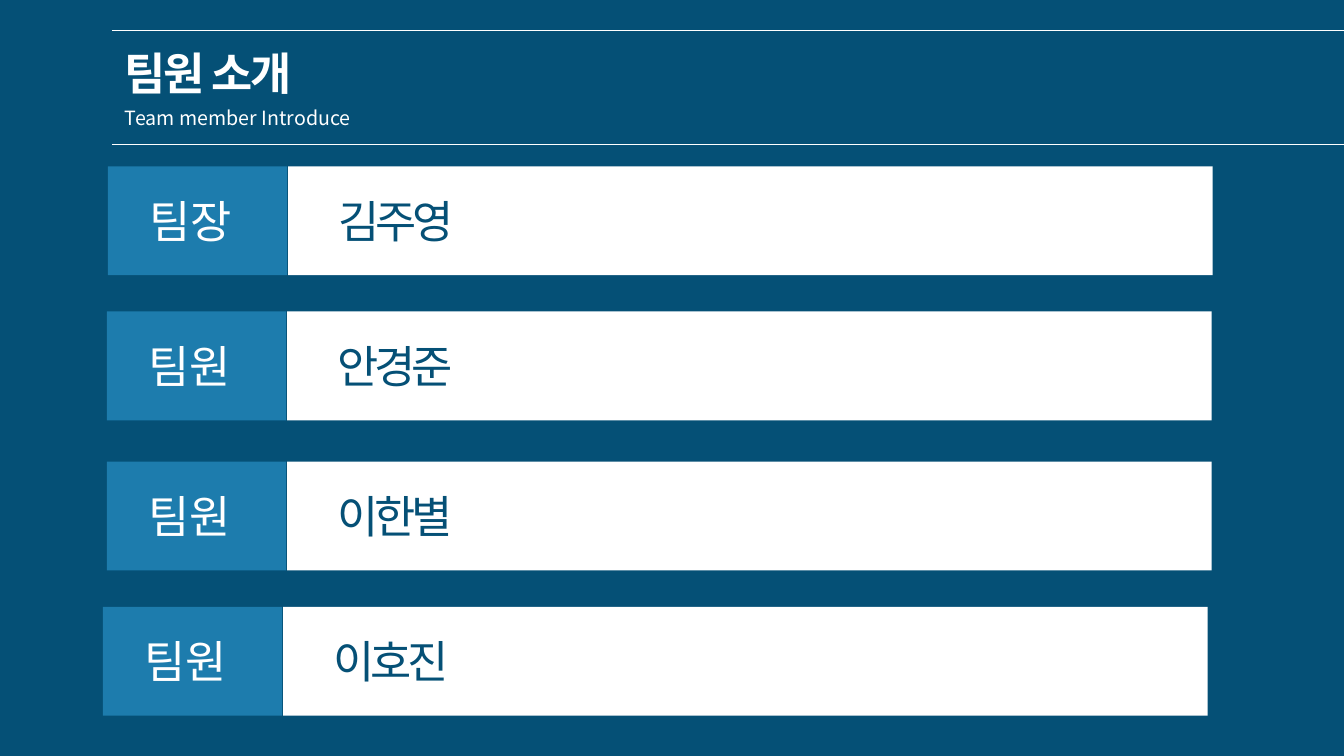
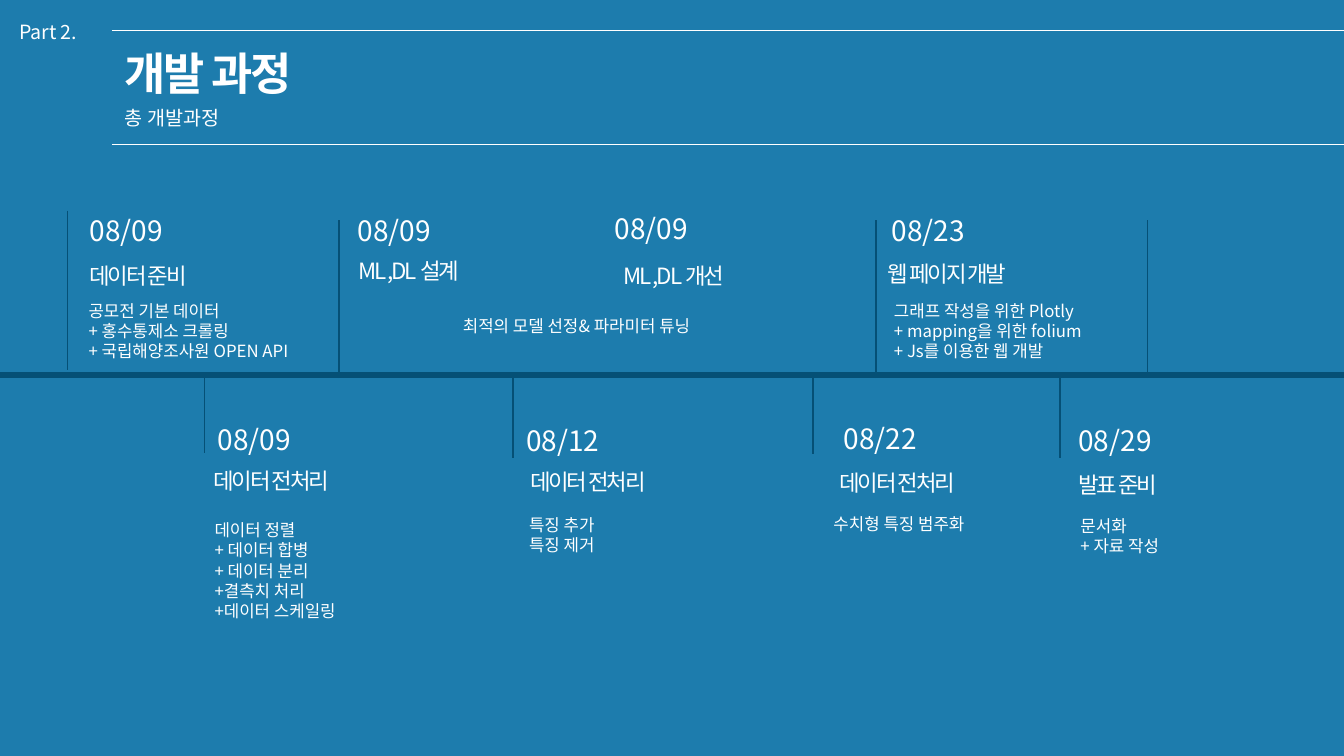
"""Build the team introduction and development timeline slides."""
from dataclasses import dataclass

from lxml.etree import SubElement
from pptx import Presentation
from pptx.dml.color import RGBColor
from pptx.enum.shapes import MSO_CONNECTOR, MSO_SHAPE
from pptx.enum.text import MSO_AUTO_SIZE, PP_ALIGN
from pptx.oxml.ns import qn
from pptx.slide import Slide
from pptx.util import Inches, Length, Pt


@dataclass(frozen=True)
class Theme:
    """Colours, font and type sizes shared by the slides."""

    navy: RGBColor = RGBColor(0x05, 0x50, 0x76)
    blue: RGBColor = RGBColor(0x1D, 0x7C, 0xAD)
    white: RGBColor = RGBColor(0xFF, 0xFF, 0xFF)
    font: str = "Noto Sans CJK KR"
    title: int = 32
    date: int = 20
    heading: int = 16
    label: int = 14
    body: int = 12


@dataclass(frozen=True)
class Box:
    """Left, top, width and height in grid cells."""

    left: float
    top: float
    width: float
    height: float


@dataclass(frozen=True)
class Style:
    """Character and paragraph format of a text."""

    size: int
    color: RGBColor
    bold: bool = False
    spacing: float = 0
    alignment: PP_ALIGN = PP_ALIGN.LEFT
    wrap: bool = False


@dataclass(frozen=True)
class Member:
    """Role and name on a card with its top left corner."""

    role: str
    name: str
    left: float
    top: float


@dataclass(frozen=True)
class Event:
    """Date and heading of a timeline entry."""

    date: str
    date_box: Box
    heading: str
    heading_box: Box


@dataclass(frozen=True)
class Note:
    """Body lines beside the timeline."""

    lines: tuple[str, ...]
    box: Box
    alignment: PP_ALIGN = PP_ALIGN.JUSTIFY


@dataclass(frozen=True)
class Marker:
    """Vertical timeline mark between two rows."""

    column: float
    start: float
    end: float
    weight: float


THEME = Theme()
CELL = Inches(0.1)
COLUMNS, ROWS = 133.33, 75

TITLE = Style(THEME.title, THEME.white, bold=True, spacing=-1.5)
LABEL = Style(THEME.label, THEME.white)
ROLE = Style(THEME.title, THEME.white, alignment=PP_ALIGN.CENTER)
NAME = Style(THEME.title, THEME.navy, spacing=-3)
DATE = Style(THEME.date, THEME.white)
HEADING = Style(THEME.heading, THEME.white, spacing=-1.5)

MEMBERS = (
    Member("팀장", "김주영", 10.7, 16.5),
    Member("팀원", "안경준", 10.6, 30.9),
    Member("팀원", "이한별", 10.6, 45.8),
    Member("팀원", "이호진", 10.2, 60.2),
)

EVENTS = (
    Event("08/09", Box(7.9, 20.7, 11.5, 4.4), "데이터 준비", Box(7.9, 25.5, 12.4, 3.7)),
    Event("08/09", Box(20.6, 41.4, 11.5, 4.4), "데이터 전처리", Box(20.2, 45.9, 14.3, 3.7)),
    Event("08/09", Box(34.5, 20.7, 11.6, 4.4), "ML ,DL 설계", Box(34.6, 25, 13.1, 3.7)),
    Event("08/12", Box(51.2, 41.5, 10.9, 4.3), "데이터 전처리", Box(51.6, 46, 14.2, 3.7)),
    Event("08/09", Box(60, 20.5, 11.6, 4.4), "ML ,DL 개선", Box(60.9, 25.5, 13.6, 3.7)),
    Event("08/22", Box(82.7, 41.3, 11.1, 4.2), "데이터 전처리", Box(82.3, 46.1, 14.2, 3.7)),
    Event("08/23", Box(87.5, 20.7, 14, 4.3), "웹 페이지 개발", Box(87.1, 25.3, 14.9, 3.7)),
    Event("08/29", Box(106, 41.5, 9.3, 4.4), "발표 준비", Box(106, 46.3, 10.5, 3.7)),
)

NOTES = (
    Note(("공모전 기본 데이터", "+ 홍수통제소 크롤링", "+ 국립해양조사원 OPEN API"), Box(7.8, 29.3, 25.2, 7)),
    Note(
        ("데이터 정렬", "+ 데이터 합병", "+ 데이터 분리", "+결측치 처리", "+데이터 스케일링"),
        Box(20.3, 51.1, 28.4, 11),
    ),
    Note(("최적의 모델 선정& 파라미터 튜닝",), Box(36.4, 30.8, 41.6, 2.9), PP_ALIGN.CENTER),
    Note(("특징 추가", "특징 제거"), Box(51.5, 50.6, 28.4, 4.9)),
    Note(("수치형 특징 범주화",), Box(81.7, 50.5, 22.4, 2.9)),
    Note(
        ("그래프 작성을 위한 Plotly", "+ mapping을 위한 folium", "+ Js를 이용한 웹 개발"),
        Box(87.7, 29.3, 24.9, 7),
    ),
    Note(("문서화", "+ 자료 작성"), Box(106.2, 50.7, 17.6, 4.9)),
)

MARKERS = (
    Marker(6.7, 20.9, 36.7, 0.5),
    Marker(20.3, 44.9, 37.1, 0.25),
    Marker(33.6, 37.5, 21.8, 1.5),
    Marker(50.9, 45.4, 37.1, 1.5),
    Marker(80.7, 45, 37.1, 1.5),
    Marker(86.9, 37.5, 21.8, 1.5),
    Marker(105.2, 45.4, 37.5, 1.5),
    Marker(113.8, 37.5, 21.8, 0.5),
)


def cells(count: float) -> Length:
    """Convert grid cells to a length."""
    return Length(round(count * CELL))


def frame(box: Box) -> tuple[Length, Length, Length, Length]:
    """Convert a box to slide lengths."""
    return cells(box.left), cells(box.top), cells(box.width), cells(box.height)


def add_text(slide: Slide, box: Box, lines: tuple[str, ...], style: Style) -> None:
    """Add a text box with one paragraph per line."""
    text_frame = slide.shapes.add_textbox(*frame(box)).text_frame
    text_frame.word_wrap = style.wrap
    text_frame.auto_size = MSO_AUTO_SIZE.SHAPE_TO_FIT_TEXT
    font_format = {"size": Pt(style.size), "name": THEME.font, "bold": style.bold}
    for index, line in enumerate(lines):
        paragraph = text_frame.add_paragraph() if index else text_frame.paragraphs[0]
        paragraph.alignment = style.alignment
        run = paragraph.add_run()
        run.text = line
        for attribute, value in font_format.items():
            setattr(run.font, attribute, value)
        run.font.color.rgb = style.color
        properties = run.font._element if hasattr(run.font, "_element") else run._r.get_or_add_rPr()
        SubElement(properties, qn("a:ea"), typeface=THEME.font)
        if style.spacing:
            properties.set("spc", str(round(style.spacing * 100)))


def add_line(
    slide: Slide, start: tuple[float, float], end: tuple[float, float], color: RGBColor, weight: float
) -> None:
    """Add a straight line between two grid points."""
    points = [cells(value) for value in (*start, *end)]
    connector = slide.shapes.add_connector(MSO_CONNECTOR.STRAIGHT, *points)
    connector.line.color.rgb = color
    connector.line.width = Pt(weight)
    SubElement(connector._element.spPr, qn("a:effectLst"))


def add_panel(slide: Slide, box: Box, color: RGBColor) -> None:
    """Add a plain filled rectangle."""
    shape = slide.shapes.add_shape(MSO_SHAPE.RECTANGLE, *frame(box))
    shape.shadow.inherit = False
    shape.fill.solid()
    shape.fill.fore_color.rgb = color
    shape.line.fill.background()


def add_titled_slide(
    presentation: Presentation, background: RGBColor, title: str, subtitle: str, subtitle_width: float
) -> Slide:
    """Add a slide with the shared title between two rules."""
    slide = presentation.slides.add_slide(presentation.slide_layouts[6])
    slide.background.fill.solid()
    slide.background.fill.fore_color.rgb = background
    for row in (3, 14.3):
        add_line(slide, (11.1, row), (COLUMNS, row), THEME.white, 0.5)
    add_text(slide, Box(11.4, 4, 19.8, 6.4), (title,), TITLE)
    add_text(slide, Box(11.4, 10, subtitle_width, 3.3), (subtitle,), LABEL)
    return slide


def add_member(slide: Slide, member: Member) -> None:
    """Add one team member card."""
    left, top = member.left, member.top
    add_panel(slide, Box(left, top, 17.8, 10.8), THEME.blue)
    add_panel(slide, Box(left + 17.9, top, 91.7, 10.8), THEME.white)
    add_text(slide, Box(left + 2.9, top + 2.2, 10.7, 6.3), (member.role,), ROLE)
    add_text(slide, Box(left + 21.9, top + 2.2, 13.9, 6.3), (member.name,), NAME)


def build_team(presentation: Presentation) -> None:
    """Build the team member slide."""
    slide = add_titled_slide(presentation, THEME.navy, "팀원 소개", "Team member Introduce", 27.1)
    for member in MEMBERS:
        add_member(slide, member)


def build_timeline(presentation: Presentation) -> None:
    """Build the development timeline slide."""
    slide = add_titled_slide(presentation, THEME.blue, "개발 과정", "총 개발과정", 12.4)
    add_text(slide, Box(0.9, 1.5, 9.1, 3.4), ("Part 2.",), LABEL)
    add_line(slide, (0, 37.2), (COLUMNS, 37.2), THEME.navy, 4.5)
    for marker in MARKERS:
        add_line(slide, (marker.column, marker.start), (marker.column, marker.end), THEME.navy, marker.weight)
    for event in EVENTS:
        add_text(slide, event.date_box, (event.date,), DATE)
        add_text(slide, event.heading_box, (event.heading,), HEADING)
    for note in NOTES:
        style = Style(THEME.body, THEME.white, alignment=note.alignment, wrap=True)
        add_text(slide, note.box, note.lines, style)


def main() -> None:
    """Build and save the presentation."""
    presentation = Presentation()
    presentation.slide_width = cells(COLUMNS)
    presentation.slide_height = cells(ROWS)
    build_team(presentation)
    build_timeline(presentation)
    presentation.save("out.pptx")


if __name__ == "__main__":
    main()
